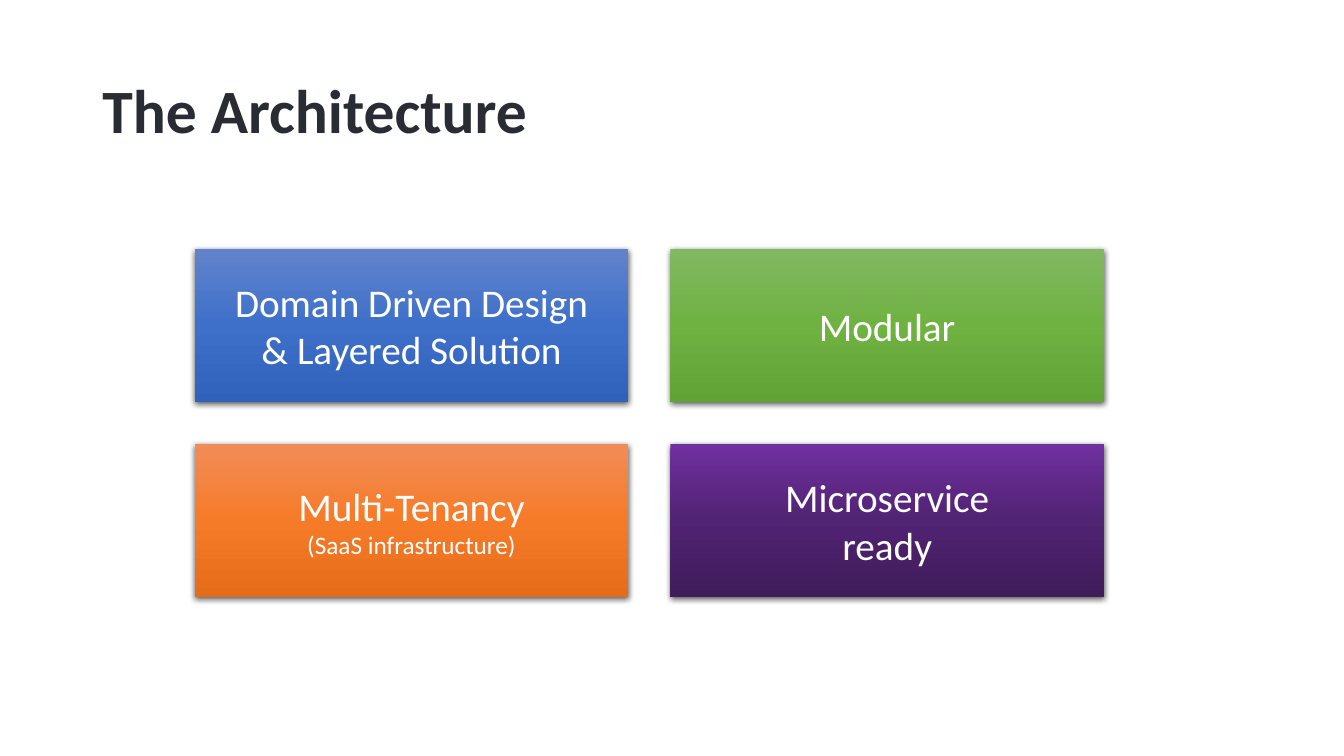
from copy import deepcopy

from lxml.etree import SubElement
from pptx import Presentation
from pptx.dml.color import RGBColor
from pptx.enum.shapes import MSO_SHAPE as Shape
from pptx.enum.text import MSO_ANCHOR as Anchor, PP_ALIGN as Align
from pptx.oxml.ns import qn
from pptx.util import Pt

INK = RGBColor(0x29, 0x2D, 0x33)
WHITE = RGBColor(0xFF, 0xFF, 0xFF)
BLUES = [RGBColor(0x61, 0x83, 0xCB), RGBColor(0x3E, 0x70, 0xCA), RGBColor(0x30, 0x62, 0xBB)]
GREENS = [RGBColor(0x81, 0xB8, 0x61), RGBColor(0x6F, 0xB2, 0x42), RGBColor(0x62, 0xA3, 0x36)]
ORANGES = [RGBColor(0xF1, 0x8C, 0x57), RGBColor(0xF6, 0x7B, 0x28), RGBColor(0xE5, 0x6C, 0x19)]
PURPLES = [RGBColor(0x70, 0x30, 0xA0), RGBColor(0x51, 0x23, 0x73), RGBColor(0x3F, 0x1C, 0x5A)]

# Text of each card ("\v" breaks a line, "\n" a paragraph), run sizes, gradient
CARDS = [
    ("Domain Driven Design\n& Layered Solution", (28, 28), BLUES),
    ("Modular", (28,), GREENS),
    ("Multi-Tenancy\v(SaaS infrastructure)", (28, 18), ORANGES),
    ("Microservice\vready", (28, 28), PURPLES),
]
COLUMNS = 2
CARD_LEFT, CARD_TOP = 139, 177.9
CARD_WIDTH, CARD_HEIGHT = 309.8, 109.4
GAP = 30


class SlideBuilder:
    font = "Calibri"

    def __init__(self, page):
        self.page = page

    def style(self, span, size, color, bold=False):
        span.font.name = self.font
        span.font.size = Pt(size)
        span.font.bold = bold
        span.font.color.rgb = color

    def title(self, text, left, top, width, height):
        box = self.page.shapes.title
        box.left, box.top, box.width, box.height = map(Pt, (left, top, width, height))
        frame = box.text_frame
        frame.text = text
        frame.vertical_anchor = Anchor.MIDDLE
        para = frame.paragraphs[0]
        para.alignment = Align.LEFT
        para.line_spacing = 0.9
        self.style(para.runs[0], 44, INK, bold=True)

    def gradient(self, box, colors):
        """Fill the box from top to bottom with evenly spaced colours."""
        fill = box.fill
        fill.gradient()
        fill.gradient_angle = 270
        stop_list = box.element.spPr.find(".//" + qn("a:gsLst"))
        while len(stop_list) < len(colors):
            stop_list.append(deepcopy(stop_list[-1]))
        for index, (stop, color) in enumerate(zip(fill.gradient_stops, colors)):
            stop.position = index / (len(colors) - 1)
            stop.color.rgb = color

    def drop_shadow(self, box):
        box.shadow.inherit = False
        effects = box.element.spPr.find(qn("a:effectLst"))
        shadow = SubElement(effects, qn("a:outerShdw"), blurRad=str(Pt(4.5)),
                            dist=str(Pt(1.5)), dir="5400000", algn="ctr", rotWithShape="0")
        black = SubElement(shadow, qn("a:srgbClr"), val="000000")
        SubElement(black, qn("a:alpha"), val="63000")

    def card(self, text, sizes, colors, left, top):
        box = self.page.shapes.add_shape(
            Shape.RECTANGLE, Pt(left), Pt(top), Pt(CARD_WIDTH), Pt(CARD_HEIGHT))
        self.gradient(box, colors)
        box.line.fill.background()
        self.drop_shadow(box)
        frame = box.text_frame
        frame.text = text
        frame.word_wrap = True
        frame.vertical_anchor = Anchor.MIDDLE
        for para in frame.paragraphs:
            para.alignment = Align.CENTER
        spans = [span for para in frame.paragraphs for span in para.runs]
        for span, size in zip(spans, sizes):
            self.style(span, size, WHITE)


def main():
    deck = Presentation()
    deck.slide_width, deck.slide_height = Pt(960), Pt(540)
    builder = SlideBuilder(deck.slides.add_slide(deck.slide_layouts[5]))
    builder.title("The Architecture", 66, 28.75, 828, 104.4)
    for index, (text, sizes, colors) in enumerate(CARDS):
        row, column = divmod(index, COLUMNS)
        builder.card(text, sizes, colors,
                     CARD_LEFT + column * (CARD_WIDTH + GAP),
                     CARD_TOP + row * (CARD_HEIGHT + GAP))
    deck.save("out.pptx")


if __name__ == "__main__":
    main()
